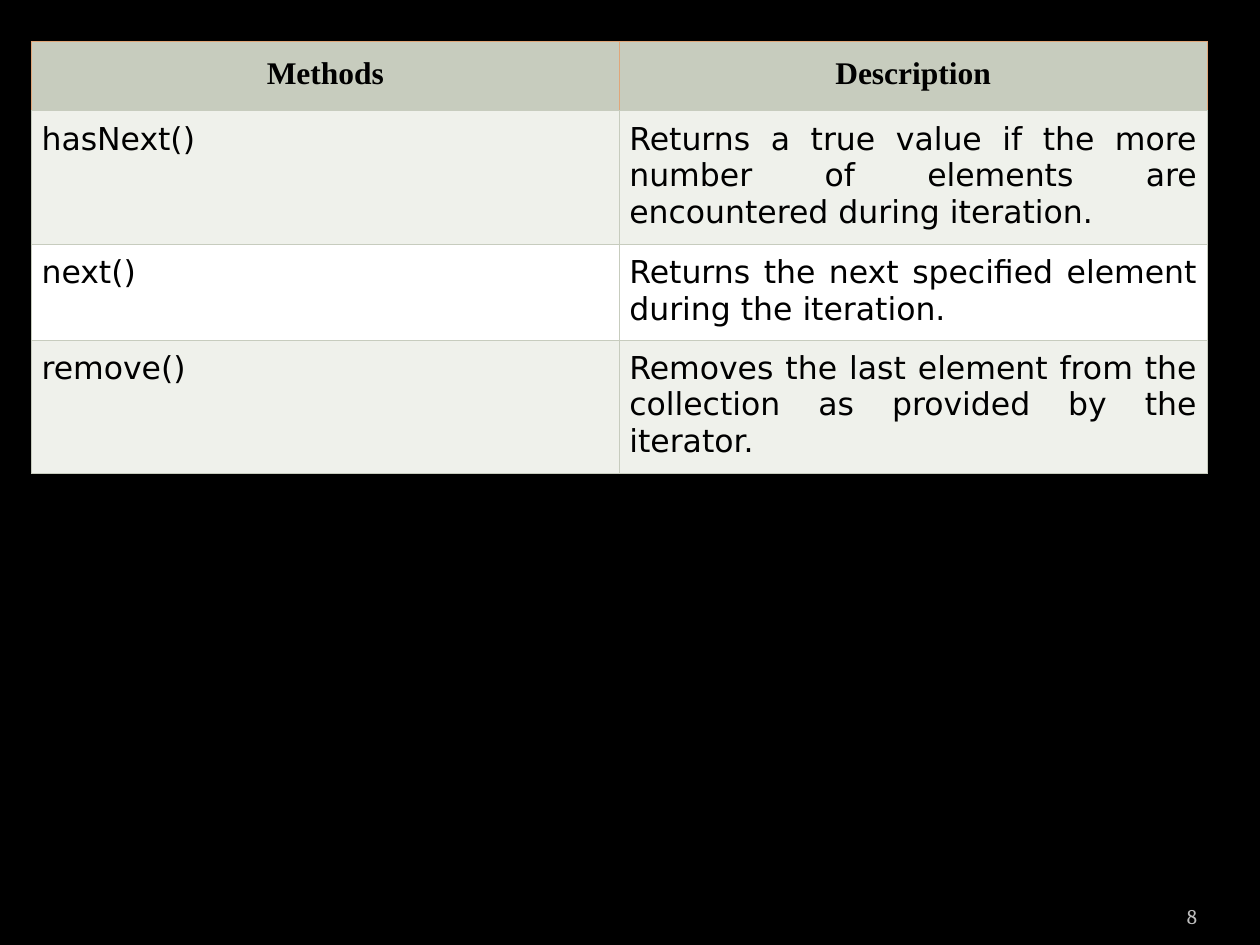
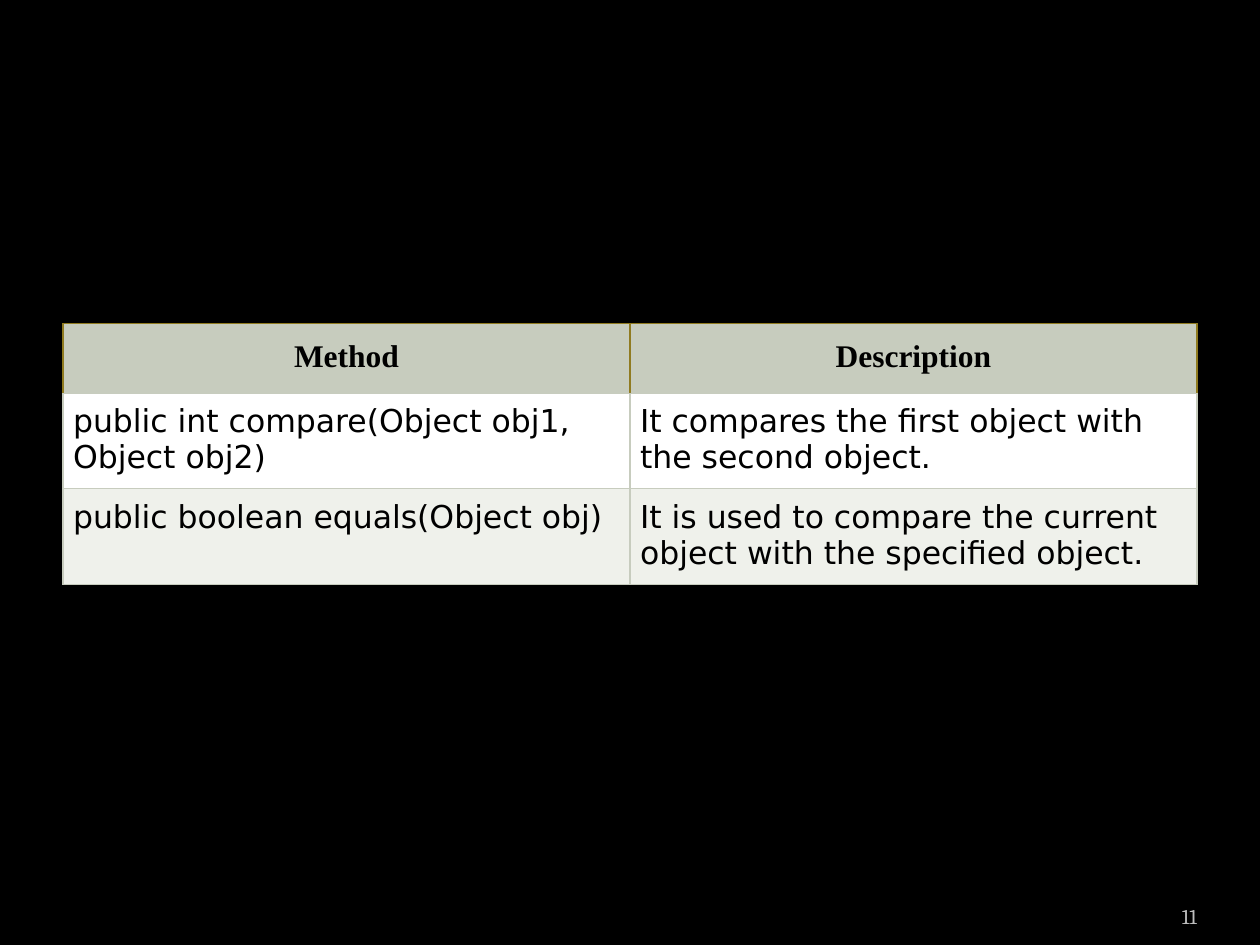
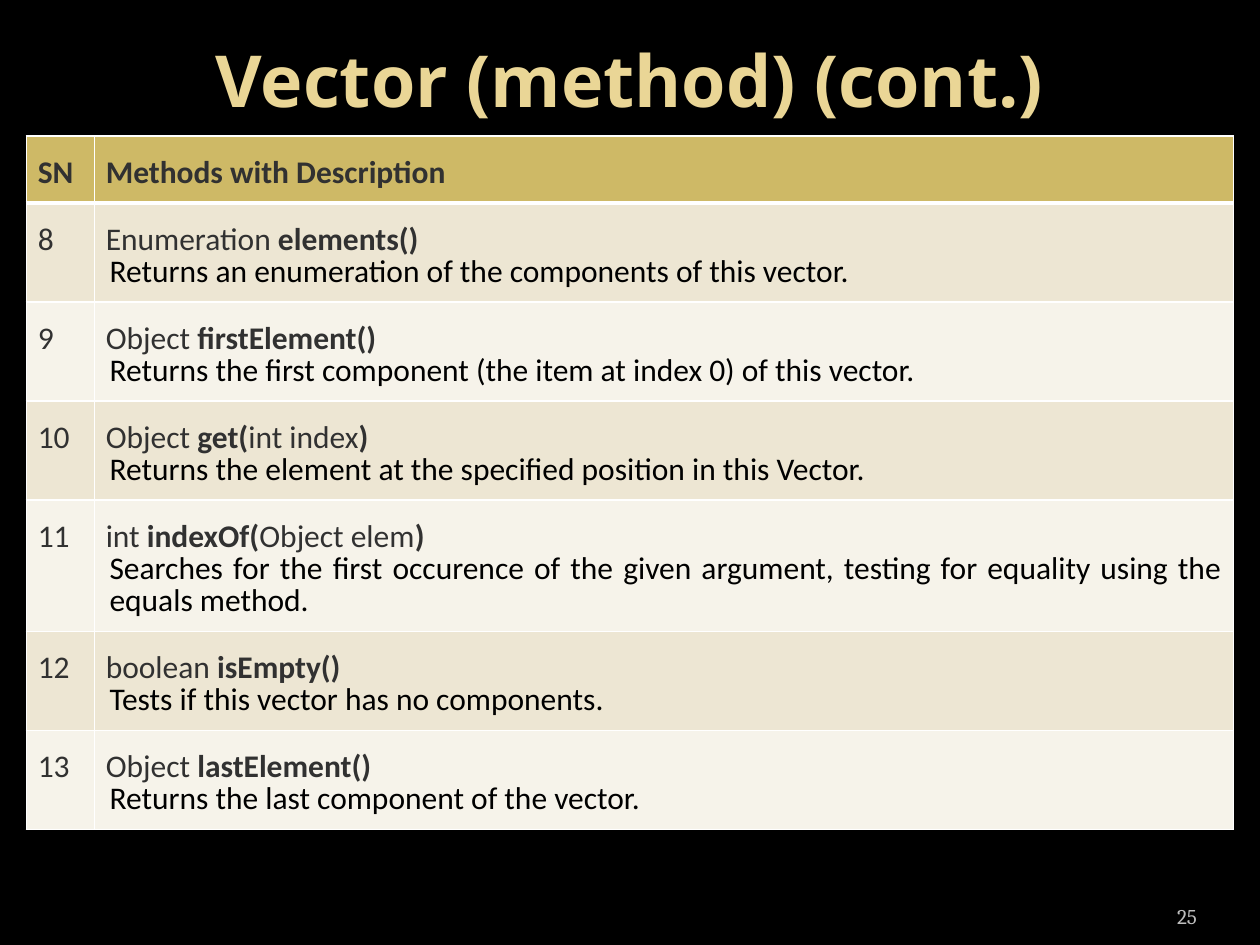
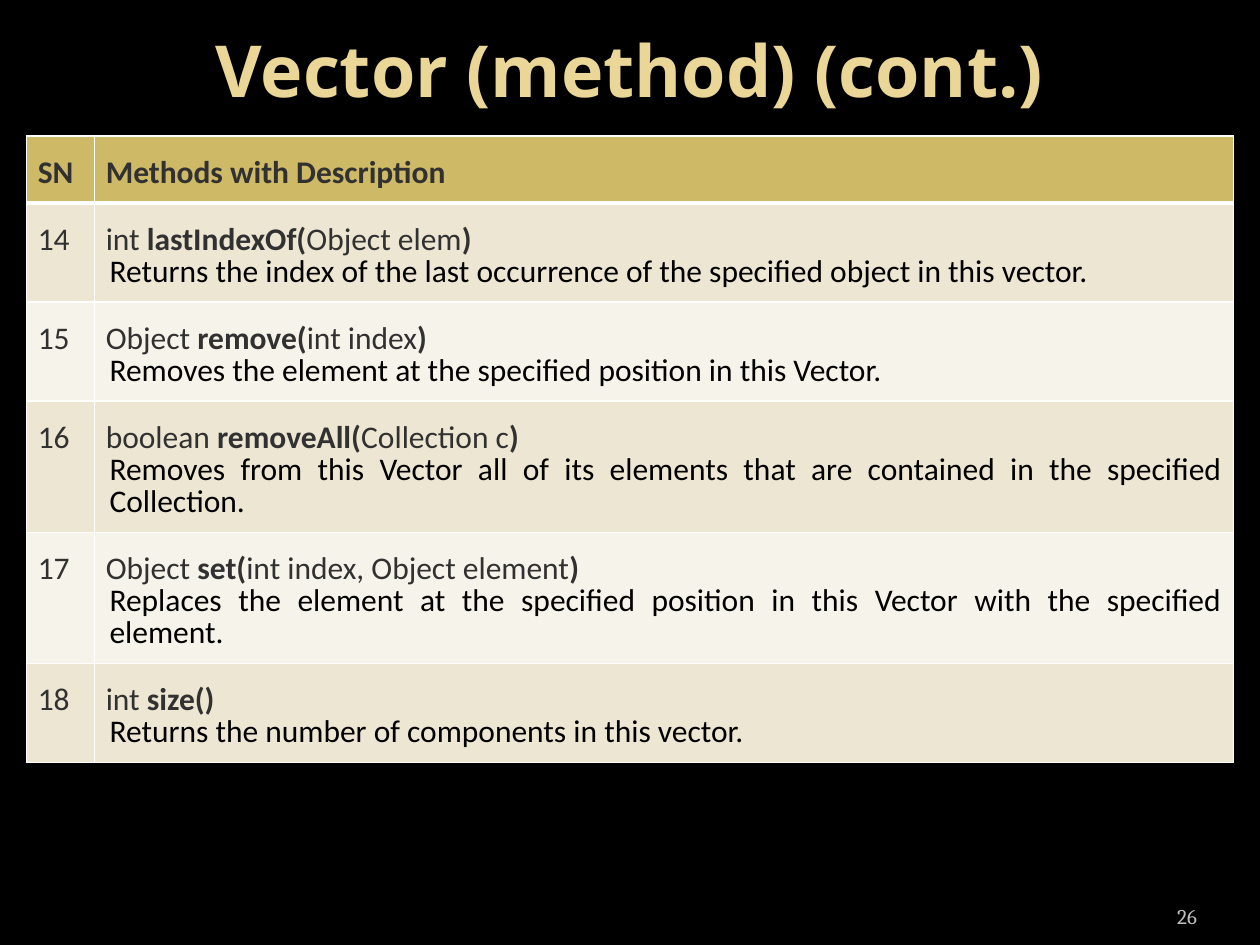
from dataclasses import dataclass

from lxml import etree
from pptx import Presentation
from pptx.dml.color import RGBColor
from pptx.enum import text
from pptx.oxml import ns
from pptx.util import Inches, Pt

ALIGN = text.PP_ALIGN
ANCHOR = text.MSO_ANCHOR


@dataclass(frozen=True)
class Theme:
    background: str = "000000"
    ink: str = "000000"
    soft_ink: str = "313131"
    title: str = "EAD696"
    number: str = "BDBDBD"
    title_font: str = "Open Sans"
    number_font: str = "Cambria"
    heading_font: str = "Times New Roman"
    plain_font: str = "DejaVu Sans"
    vector_font: str = "Calibri"
    title_size: float = 41
    table_size: float = 18
    number_size: float = 12
    sage: str = "C7CCBE"
    pale_sage: str = "EFF1EB"
    white: str = "FFFFFF"
    orange: str = "E0A679"
    olive: str = "907B20"
    gold: str = "CEB966"
    sand: str = "EDE6D3"
    cream: str = "F6F3EA"
    signature_spacing: float = 1.15
    description_leading: float = 18.4
    description_indent: float = 0.03


THEME = Theme()

ITERATOR_ROWS = [
    ("Methods", "Description"),
    ("hasNext()", "Returns a true value if the more number of elements are "
                  "encountered during iteration."),
    ("next()", "Returns the next specified element during the iteration."),
    ("remove()", "Removes the last element from the collection as provided by "
                 "the iterator."),
]
COMPARATOR_ROWS = [
    ("Method", "Description"),
    ("public int compare(Object obj1, Object obj2)",
     "It compares the first object with the second object."),
    ("public boolean equals(Object obj)",
     "It is used to compare the current object with the specified object."),
]
# Signatures switch between regular and bold at each "|".
VECTOR_ELEMENTS = [
    ("Enumeration| elements()",
     "Returns an enumeration of the components of this vector."),
    ("Object |firstElement()",
     "Returns the first component (the item at index 0) of this vector."),
    ("Object| get(|int index|)",
     "Returns the element at the specified position in this Vector."),
    ("int| indexOf(|Object elem|)",
     "Searches for the first occurence of the given argument, testing for "
     "equality using the equals method."),
    ("boolean |isEmpty()", "Tests if this vector has no components."),
    ("Object |lastElement()", "Returns the last component of the vector."),
]
VECTOR_CHANGES = [
    ("int |lastIndexOf(|Object elem|)",
     "Returns the index of the last occurrence of the specified object in "
     "this vector."),
    ("Object| remove(|int index|)",
     "Removes the element at the specified position in this Vector."),
    ("boolean |removeAll(|Collection c|)",
     "Removes from this Vector all of its elements that are contained in the "
     "specified Collection."),
    ("Object| set(|int index, Object element|)",
     "Replaces the element at the specified position in this Vector with the "
     "specified element."),
    ("int| size()", "Returns the number of components in this vector."),
]


def write(paragraph, content, *, font, size=THEME.table_size, color=THEME.ink,
          bold=False, align=None, spacing=None, indent=0):
    """Add text to a paragraph, toggling bold at each "|"."""
    if indent:
        paragraph._p.get_or_add_pPr().set("marL", str(Inches(indent)))
    if align is not None:
        paragraph.alignment = align
    if spacing is not None:
        paragraph.line_spacing = spacing
    for index, part in enumerate(content.split("|")):
        run = paragraph.add_run()
        run.text = part
        run.font.name = font
        run.font.size = Pt(size)
        run.font.bold = bold != bool(index % 2)
        run.font.color.rgb = RGBColor.from_string(color)


def set_margins(holder, horizontal, vertical):
    holder.margin_left = holder.margin_right = Inches(horizontal)
    holder.margin_top = holder.margin_bottom = Inches(vertical)


def add_border(cell, side, color, width):
    line = etree.SubElement(cell._tc.get_or_add_tcPr(), ns.qn(f"a:ln{side}"),
                            w=str(Pt(width)))
    fill = etree.SubElement(line, ns.qn("a:solidFill"))
    etree.SubElement(fill, ns.qn("a:srgbClr"), val=color)


def format_cell(cell, fill, margin, edge, bottom):
    """Edge and bottom are (color, width) pairs."""
    set_margins(cell, margin, margin)
    for side in "LRT":
        add_border(cell, side, *edge)
    add_border(cell, "B", *bottom)
    cell.fill.solid()
    cell.fill.fore_color.rgb = RGBColor.from_string(fill)


def add_grid(slide, left, top, height, columns, rows):
    """Add an unstyled table with column widths and row heights in inches."""
    frame = slide.shapes.add_table(len(rows), len(columns), Inches(left),
                                   Inches(top), Inches(sum(columns)),
                                   Inches(height))
    grid = frame.table
    grid.horz_banding = False
    for column, width in zip(grid.columns, columns):
        column.width = Inches(width)
    for row, row_height in zip(grid.rows, rows):
        row.height = Inches(row_height)
    frame.height = Inches(height)
    return grid


def add_interface_table(slide, content, *, left, top, width, heights, bands,
                        heading_edge, description_align=None):
    grid = add_grid(slide, left, top, sum(heights), [width / 2] * 2, heights)
    rule = (THEME.sage, 0.75)
    for row, entries in enumerate(content):
        for column, entry in enumerate(entries):
            cell = grid.cell(row, column)
            paragraph = cell.text_frame.paragraphs[0]
            if row == 0:
                format_cell(cell, THEME.sage, 0.12, (heading_edge, 0.75), rule)
                write(paragraph, entry, font=THEME.heading_font, bold=True,
                      align=ALIGN.CENTER)
            else:
                format_cell(cell, bands[(row - 1) % 2], 0.08, rule, rule)
                write(paragraph, entry, font=THEME.plain_font,
                      align=description_align if column else None)


def add_vector_table(slide, methods, first_number, height):
    grid = add_grid(slide, 0.21, 1.08, height, [0.54, 9.04],
                    [0.41] * (len(methods) + 1))
    rule = (THEME.white, 1)
    label = dict(font=THEME.vector_font, color=THEME.soft_ink,
                 spacing=THEME.signature_spacing)
    for column, heading in enumerate(("SN", "Methods with Description")):
        cell = grid.cell(0, column)
        format_cell(cell, THEME.gold, 0.09, rule, (THEME.white, 3))
        write(cell.text_frame.paragraphs[0], heading, bold=True, **label)
    for row, (signature, description) in enumerate(methods, start=1):
        number_cell, method_cell = grid.cell(row, 0), grid.cell(row, 1)
        for cell in (number_cell, method_cell):
            format_cell(cell, THEME.sand if row % 2 else THEME.cream, 0.09,
                        rule, rule)
        write(number_cell.text_frame.paragraphs[0],
              str(first_number + row - 1), **label)
        write(method_cell.text_frame.paragraphs[0], signature, **label)
        write(method_cell.text_frame.add_paragraph(), description,
              font=THEME.vector_font, align=ALIGN.JUSTIFY,
              spacing=Pt(THEME.description_leading),
              indent=THEME.description_indent)


def set_title(slide, content, top):
    title = slide.shapes.title
    title.left, title.top = Inches(0.5), Inches(top)
    title.width, title.height = Inches(9), Inches(1.25)
    title.text_frame.vertical_anchor = ANCHOR.MIDDLE
    write(title.text_frame.paragraphs[0], content, font=THEME.title_font,
          size=THEME.title_size, color=THEME.title, bold=True,
          align=ALIGN.CENTER)


def add_slide_number(slide, number):
    frame = slide.shapes.add_textbox(Inches(8.67), Inches(7.02), Inches(0.83),
                                     Inches(0.4)).text_frame
    frame.word_wrap = True
    frame.vertical_anchor = ANCHOR.BOTTOM
    set_margins(frame, 0, 0.05)
    write(frame.paragraphs[0], str(number), font=THEME.number_font,
          size=THEME.number_size, color=THEME.number, align=ALIGN.RIGHT)


def main():
    deck = Presentation()
    deck.slide_width, deck.slide_height = Inches(10), Inches(7.5)
    backdrop = deck.slide_master.background.fill
    backdrop.solid()
    backdrop.fore_color.rgb = RGBColor.from_string(THEME.background)
    title_only, blank = deck.slide_layouts[5], deck.slide_layouts[6]

    iterator = deck.slides.add_slide(blank)
    add_interface_table(iterator, ITERATOR_ROWS, left=0.25, top=0.33,
                        width=9.33, heights=[0.55, 1.06, 0.76, 1.06],
                        bands=(THEME.pale_sage, THEME.white),
                        heading_edge=THEME.orange,
                        description_align=ALIGN.JUSTIFY)
    add_slide_number(iterator, 8)

    comparator = deck.slides.add_slide(blank)
    add_interface_table(comparator, COMPARATOR_ROWS, left=0.5, top=2.57,
                        width=9, heights=[0.55, 0.76, 0.76],
                        bands=(THEME.white, THEME.pale_sage),
                        heading_edge=THEME.olive)
    add_slide_number(comparator, 11)

    vector_pages = [
        (25, 0, VECTOR_ELEMENTS, 8, 5.36),
        (26, -0.08, VECTOR_CHANGES, 14, 4.84),
    ]
    for page, title_top, methods, first_number, height in vector_pages:
        vector = deck.slides.add_slide(title_only)
        set_title(vector, "Vector (method) (cont.)", title_top)
        add_vector_table(vector, methods, first_number, height)
        add_slide_number(vector, page)

    deck.save("out.pptx")


if __name__ == "__main__":
    main()
